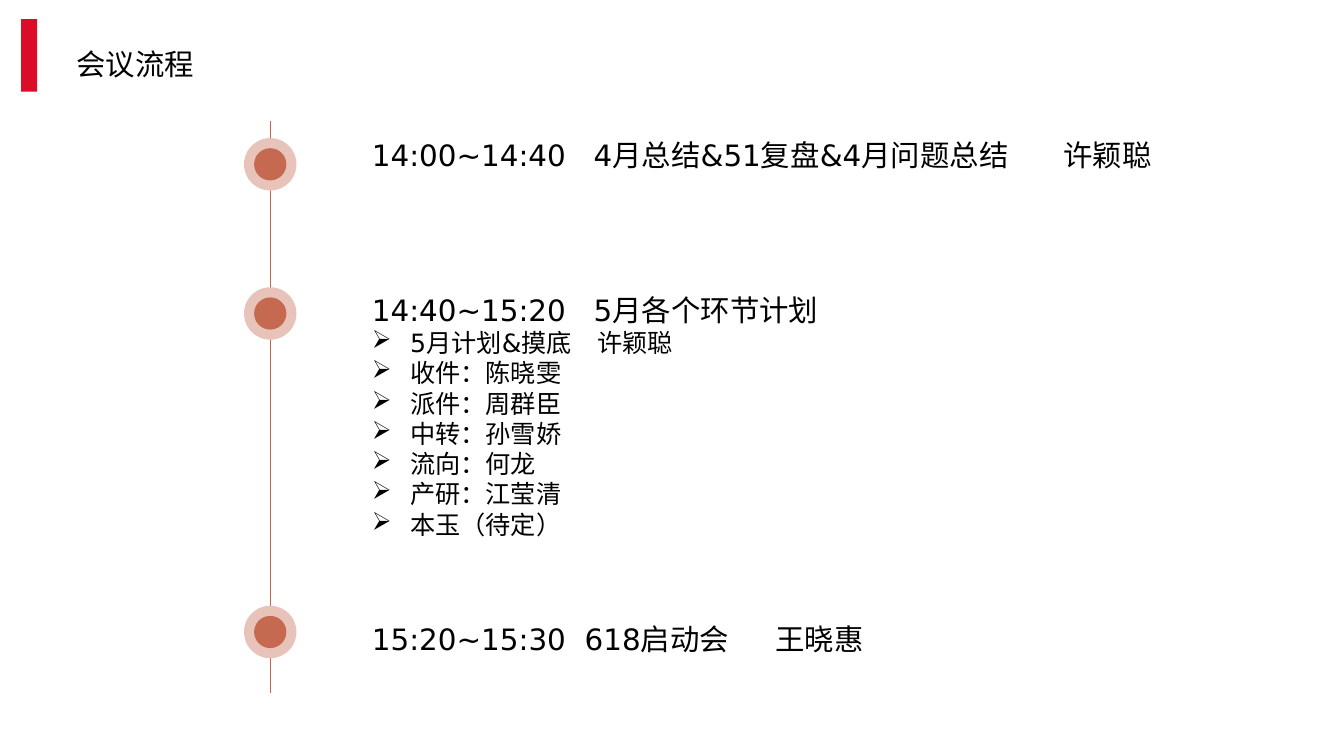
from lxml.etree import SubElement
from pptx import Presentation
from pptx.dml.color import RGBColor
from pptx.enum.shapes import MSO_CONNECTOR, MSO_SHAPE
from pptx.oxml.ns import qn
from pptx.util import Inches, Pt

RED = RGBColor(0xDA, 0x0C, 0x27)
RUST = RGBColor(0xC4, 0x65, 0x4C)
DOT = RGBColor(0xC6, 0x69, 0x51)
HALO = RGBColor(0xE8, 0xC3, 0xB9)
BLACK = RGBColor(0, 0, 0)
FONT = "DejaVu Sans"

AXIS_X = 2.68
AGENDA_X = 3.59
BULLET_INDENT = Inches(0.38)

prs = Presentation()
prs.slide_width, prs.slide_height = Inches(13.33), Inches(7.5)
slide = prs.slides.add_slide(prs.slide_layouts[6])


def add_text(lines, left, top, width, height, size=21, item_size=18, tabs=()):
    """Place a heading followed by bulleted items; tabs are inches from the text edge."""
    box = slide.shapes.add_textbox(*map(Inches, (left, top, width, height)))
    frame = box.text_frame
    frame.word_wrap = True
    for index, line in enumerate(lines):
        paragraph = frame.paragraphs[0] if index == 0 else frame.add_paragraph()
        properties = paragraph._p.get_or_add_pPr()
        if index:
            properties.set("marL", str(BULLET_INDENT))
            properties.set("indent", str(-BULLET_INDENT))
            SubElement(properties, qn("a:buChar"), char="➢")
        elif tabs:
            stops = SubElement(properties, qn("a:tabLst"))
            for stop in tabs:
                SubElement(stops, qn("a:tab"), pos=str(Inches(stop)), algn="l")
        run = paragraph.add_run()
        run.text = line
        run.font.name = FONT
        run.font.size = Pt(item_size if index else size)
        run.font.color.rgb = BLACK
        SubElement(run.font._element, qn("a:ea"), typeface=FONT)


def add_filled(preset, left, top, width, height, color):
    shape = slide.shapes.add_shape(preset, *map(Inches, (left, top, width, height)))
    shape.shadow.inherit = False
    shape.fill.solid()
    shape.fill.fore_color.rgb = color
    shape.line.fill.background()


add_filled(MSO_SHAPE.RECTANGLE, 0.21, 0.19, 0.16, 0.72, RED)
add_text(["会议流程"], 0.66, 0.41, 1.75, 0.45)

timeline = slide.shapes.add_connector(
    MSO_CONNECTOR.STRAIGHT, *map(Inches, (AXIS_X, 1.2, AXIS_X, 6.88)))
timeline.line.color.rgb = RUST
timeline.line.width = Pt(0.75)
SubElement(timeline._element.spPr, qn("a:effectLst"))

for center_y in (1.63, 3.11, 6.27):
    for diameter, color in ((0.52, HALO), (0.32, DOT)):
        add_filled(MSO_SHAPE.OVAL, AXIS_X - diameter / 2, center_y - diameter / 2,
                   diameter, diameter, color)

plan = [
    "14:40~15:20\t5月各个环节计划",
    "5月计划&摸底　许颖聪",
    "收件：陈晓雯",
    "派件：周群臣",
    "中转：孙雪娇",
    "流向：何龙",
    "产研：江莹清",
    "本玉（待定）",
]
add_text(["14:00~14:40\t4月总结&51复盘&4月问题总结\t许颖聪"],
         AGENDA_X, 1.31, 8.57, 0.45, tabs=(2.2, 6.86))
add_text(plan, AGENDA_X, 2.85, 6.47, 3.28, tabs=(2.2,))
add_text(["15:20~15:30\t618启动会\t王晓惠"],
         AGENDA_X, 6.11, 5.88, 0.45, tabs=(2.11, 4.0))

prs.save("out.pptx")
